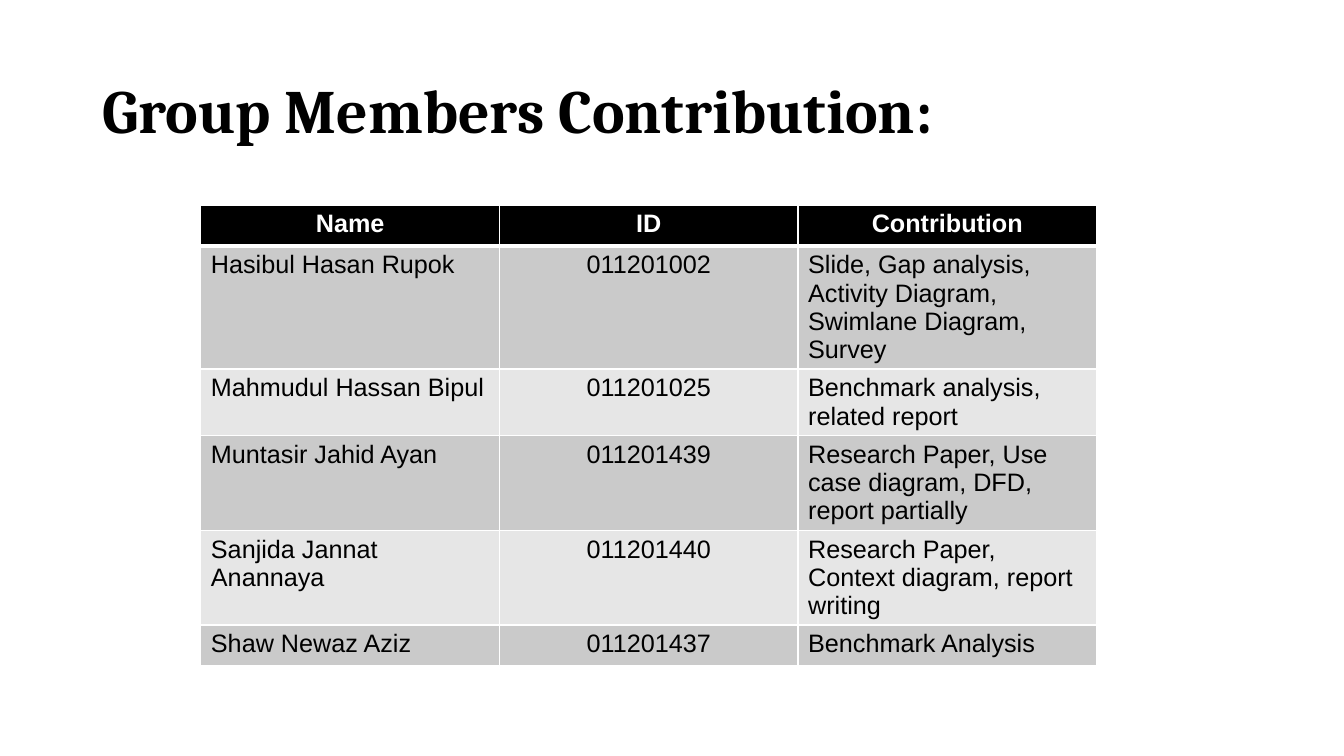
from lxml.etree import SubElement
from pptx import Presentation
from pptx.dml.color import RGBColor
from pptx.enum.text import MSO_ANCHOR, PP_ALIGN
from pptx.oxml.ns import qn
from pptx.util import Pt

# Content
TITLE = "Group Members Contribution:"
HEADINGS = ("Name", "ID", "Contribution")
MEMBERS = [
    ("Hasibul Hasan Rupok", "011201002",
     "Slide, Gap analysis, Activity Diagram, Swimlane Diagram, Survey"),
    ("Mahmudul Hassan Bipul", "011201025", "Benchmark analysis, related report"),
    ("Muntasir Jahid Ayan", "011201439",
     "Research Paper, Use case diagram, DFD, report partially"),
    ("Sanjida Jannat Anannaya", "011201440",
     "Research Paper, Context diagram, report writing"),
    ("Shaw Newaz Aziz", "011201437", "Benchmark Analysis"),
]

# Colours and measures in points
BLACK = RGBColor(0x00, 0x00, 0x00)
WHITE = RGBColor(0xFF, 0xFF, 0xFF)
DARK_BAND = RGBColor(0xCA, 0xCA, 0xCA)
LIGHT_BAND = RGBColor(0xE6, 0xE6, 0xE6)
TITLE_BOX = {"left": 66, "top": 28.75, "width": 828, "height": 104.5}
TABLE_LEFT, TABLE_TOP = 143.5, 146.5
COLUMN_WIDTH, ROW_HEIGHT = 213.3, 29.2
THIN, THICK = 1, 3

TITLE_FONT = {"name": "Cambria", "size": Pt(44), "bold": True}
HEADING_FONT = {"name": "Arial", "size": Pt(18), "bold": True}
BODY_FONT = {**HEADING_FONT, "bold": False}


def format_text(paragraph, font_values, colour, alignment):
    paragraph.alignment = alignment
    for name, value in font_values.items():
        setattr(paragraph.font, name, value)
    paragraph.font.color.rgb = colour


def add_borders(cell, widths):
    properties = cell._tc.get_or_add_tcPr()
    for side, width in widths.items():
        line = SubElement(properties, qn(f"a:ln{side}"), w=str(Pt(width)))
        fill = SubElement(line, qn("a:solidFill"))
        SubElement(fill, qn("a:srgbClr"), val=str(WHITE))


def add_title(slide):
    title = slide.shapes.title
    for name, value in TITLE_BOX.items():
        setattr(title, name, Pt(value))
    frame = title.text_frame
    frame.text = TITLE
    frame.word_wrap = True
    frame.vertical_anchor = MSO_ANCHOR.MIDDLE
    paragraph = frame.paragraphs[0]
    paragraph.line_spacing = 0.9
    format_text(paragraph, TITLE_FONT, BLACK, PP_ALIGN.LEFT)


def add_member_table(slide):
    rows = [HEADINGS, *MEMBERS]
    table = slide.shapes.add_table(
        len(rows), len(HEADINGS), Pt(TABLE_LEFT), Pt(TABLE_TOP),
        Pt(COLUMN_WIDTH * len(HEADINGS)), Pt(ROW_HEIGHT * len(rows))).table
    for row_index, row in enumerate(rows):
        is_heading = row_index == 0
        if is_heading:
            fill, colour, font = BLACK, WHITE, HEADING_FONT
        else:
            fill = DARK_BAND if row_index % 2 else LIGHT_BAND
            colour, font = BLACK, BODY_FONT
        # The heading and the first member share a thick rule
        borders = {"L": THIN, "R": THIN,
                   "T": THICK if row_index == 1 else THIN,
                   "B": THICK if is_heading else THIN}
        for column_index, text in enumerate(row):
            cell = table.cell(row_index, column_index)
            cell.text = text
            add_borders(cell, borders)
            cell.fill.solid()
            cell.fill.fore_color.rgb = fill
            centred = is_heading or HEADINGS[column_index] == "ID"
            format_text(cell.text_frame.paragraphs[0], font, colour,
                        PP_ALIGN.CENTER if centred else PP_ALIGN.LEFT)


def main():
    presentation = Presentation()
    presentation.slide_width, presentation.slide_height = Pt(960), Pt(540)
    title_only = presentation.slide_layouts[5]
    slide = presentation.slides.add_slide(title_only)
    add_title(slide)
    add_member_table(slide)
    presentation.save("out.pptx")


if __name__ == "__main__":
    main()
